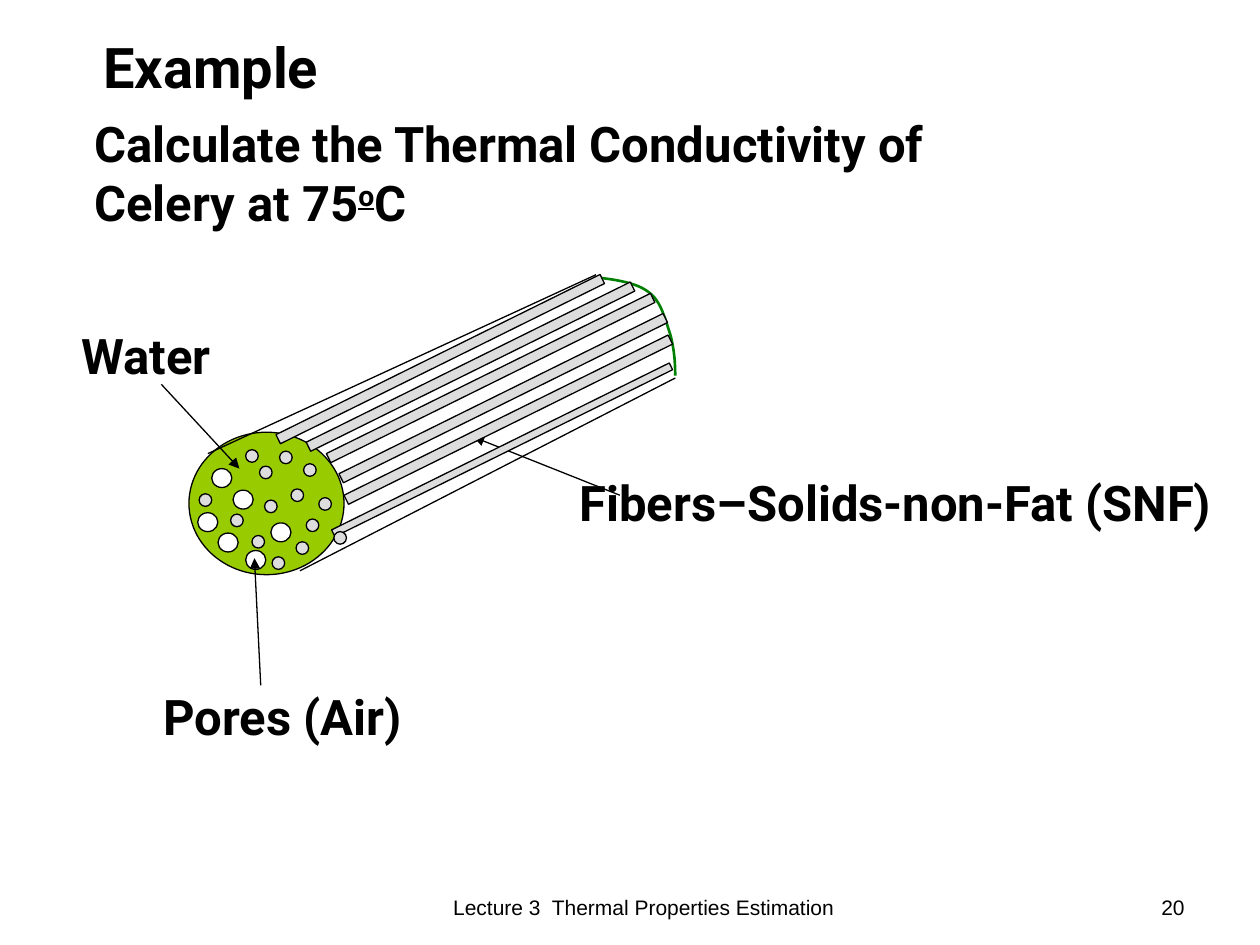
from lxml import etree
from pptx import Presentation
from pptx.dml.color import RGBColor
from pptx.enum.shapes import MSO_CONNECTOR, MSO_SHAPE
from pptx.enum.text import MSO_ANCHOR, PP_ALIGN
from pptx.oxml.ns import qn
from pptx.util import Pt

STRAIGHT = MSO_CONNECTOR.STRAIGHT
OVAL, RECT = MSO_SHAPE.OVAL, MSO_SHAPE.RECTANGLE
LEFT, CENTER, RIGHT = PP_ALIGN.LEFT, PP_ALIGN.CENTER, PP_ALIGN.RIGHT
TOP, BOTTOM = MSO_ANCHOR.TOP, MSO_ANCHOR.BOTTOM
COLORS = {"ink": "000000", "flesh": "99CC00", "fiber": "DDDDDD", "pore": "FFFFFF", "rim": "008000"}


def color(name):
    return RGBColor.from_string(COLORS[name])


def bezier_point(p0, p1, p2, p3, t):
    s = 1 - t
    return tuple(
        Pt(s**3 * a + 3 * s * s * t * b + 3 * s * t * t * c + t**3 * d)
        for a, b, c, d in zip(p0, p1, p2, p3)
    )


class Sketch:
    heading_font = "Roboto"
    footer_font = "Arial"
    line_width = 0.75

    def __init__(self, slide):
        self.slide = slide
        self.shapes = slide.shapes

    def outline(self, item, name="ink", width=line_width):
        item.line.color.rgb = color(name)
        item.line.width = Pt(width)

    def text(self, box, lines, size=28, font=heading_font, bold=True, align=LEFT, anchor=TOP, wrap=True):
        frame = self.shapes.add_textbox(*map(Pt, box)).text_frame
        frame.word_wrap = wrap
        frame.vertical_anchor = anchor
        for index, line in enumerate(lines):
            paragraph = frame.paragraphs[0] if index == 0 else frame.add_paragraph()
            paragraph.alignment = align
            paragraph.font.name = font
            paragraph.font.size = Pt(size)
            paragraph.font.bold = bold
            paragraph.font.color.rgb = color("ink")
            paragraph.add_run().text = line
        return frame

    def footer(self, box, words, align):
        self.text(box, [words], 12, self.footer_font, False, align, BOTTOM)

    def shape(self, kind, box, fill, rotation=0):
        item = self.shapes.add_shape(kind, *map(Pt, box))
        item.shadow.inherit = False
        item.fill.solid()
        item.fill.fore_color.rgb = color(fill)
        item.rotation = rotation
        self.outline(item)

    def line(self, start, end, arrow=False):
        item = self.shapes.add_connector(STRAIGHT, *map(Pt, start + end))
        self.outline(item)
        if arrow:
            etree.SubElement(item.line._get_or_add_ln(), qn("a:tailEnd"), type="triangle")
        etree.SubElement(item._element.spPr, qn("a:effectLst"))

    def curve(self, points, name, width, steps=12):
        builder = self.shapes.build_freeform(*map(Pt, points[0]))
        builder.add_line_segments(
            [
                bezier_point(*points[i : i + 4], step / steps)
                for i in range(0, len(points) - 1, 3)
                for step in range(1, steps + 1)
            ],
            close=False,
        )
        item = builder.convert_to_shape()
        item.shadow.inherit = False
        item.fill.background()
        self.outline(item, name, width)


def main():
    deck = Presentation()
    deck.slide_width, deck.slide_height = Pt(720), Pt(540)
    sketch = Sketch(deck.slides.add_slide(deck.slide_layouts[6]))

    task = sketch.text((46.8, 61.2, 615.6, 74.2), ["Calculate the Thermal Conductivity of", "Celery at 75"])
    degree = task.paragraphs[1].add_run()
    degree.text = "o"
    degree.font.underline = True
    degree._r.get_or_add_rPr().set("baseline", "30000")
    task.paragraphs[1].add_run().text = "C"
    sketch.text((51.8, 15.1, 151.9, 45.4), ["Example"], size=32, wrap=False)

    sketch.line((354.2, 283), (270.7, 249.8), arrow=True)
    sketch.text((319, 266.4, 385.2, 74.2), ["Fibers–Solids-non-Fat (SNF)"], align=CENTER)

    sketch.shape(OVAL, (108, 247, 88.6, 81.4), "flesh")
    sketch.line((118.8, 259.2), (340.6, 157))
    sketch.line((171.4, 326.2), (385.9, 216))
    far_rim = [
        (339.8, 158.4), (351.4, 159.8), (363.6, 161.3), (370.8, 167), (378, 172.1),
        (380.2, 182.9), (383, 190.8), (385.2, 198.7), (385.9, 206.6), (385.9, 214.6),
    ]
    sketch.curve(far_rim, "rim", 1.5)

    fiber_size, thin_fiber_size = (206.6, 5.8), (215.3, 4.3)
    fibers = [
        (187.2, 236.9, *fiber_size), (179.3, 254.9, *thin_fiber_size),
        (184.3, 224.6, *fiber_size), (165.6, 206.6, *fiber_size),
        (177.1, 213.1, *fiber_size), (148.3, 202.3, *fiber_size),
    ]
    for fiber in fibers:
        sketch.shape(RECT, fiber, "fiber", rotation=333.7)

    fiber_ends = [
        (131.8, 293.8), (140.4, 257), (159.8, 257.8), (173.5, 265), (144, 306),
        (155.5, 318.2), (166.3, 279.4), (182.2, 284.4), (113.8, 282.2), (175, 296.6),
        (190.8, 303.8), (151.2, 285.8), (169.2, 309.6), (148.3, 266.4),
    ]
    pores = [
        (121, 267.8), (133.2, 280.1), (140.4, 314.6),
        (113, 293), (154.8, 298.8), (124.6, 304.6),
    ]
    for spots, size, fill in ((fiber_ends, (7.2, 7.2), "fiber"), (pores, (11.5, 10.8), "pore")):
        for spot in spots:
            sketch.shape(OVAL, spot + size, fill)

    sketch.text((39.6, 182.2, 100.1, 41), ["Water"], wrap=False)
    sketch.line((92.2, 219.6), (136.8, 267.8), arrow=True)
    sketch.text((86.4, 388.8, 176.4, 41), ["Pores (Air)"])
    sketch.line((149, 391.7), (145.4, 319), arrow=True)

    sketch.footer((246.2, 491.8, 243.4, 37.4), "Lecture 3  Thermal Properties Estimation", CENTER)
    sketch.footer((651.6, 504.7, 32.4, 24.5), "20", RIGHT)
    deck.save("out.pptx")


if __name__ == "__main__":
    main()
